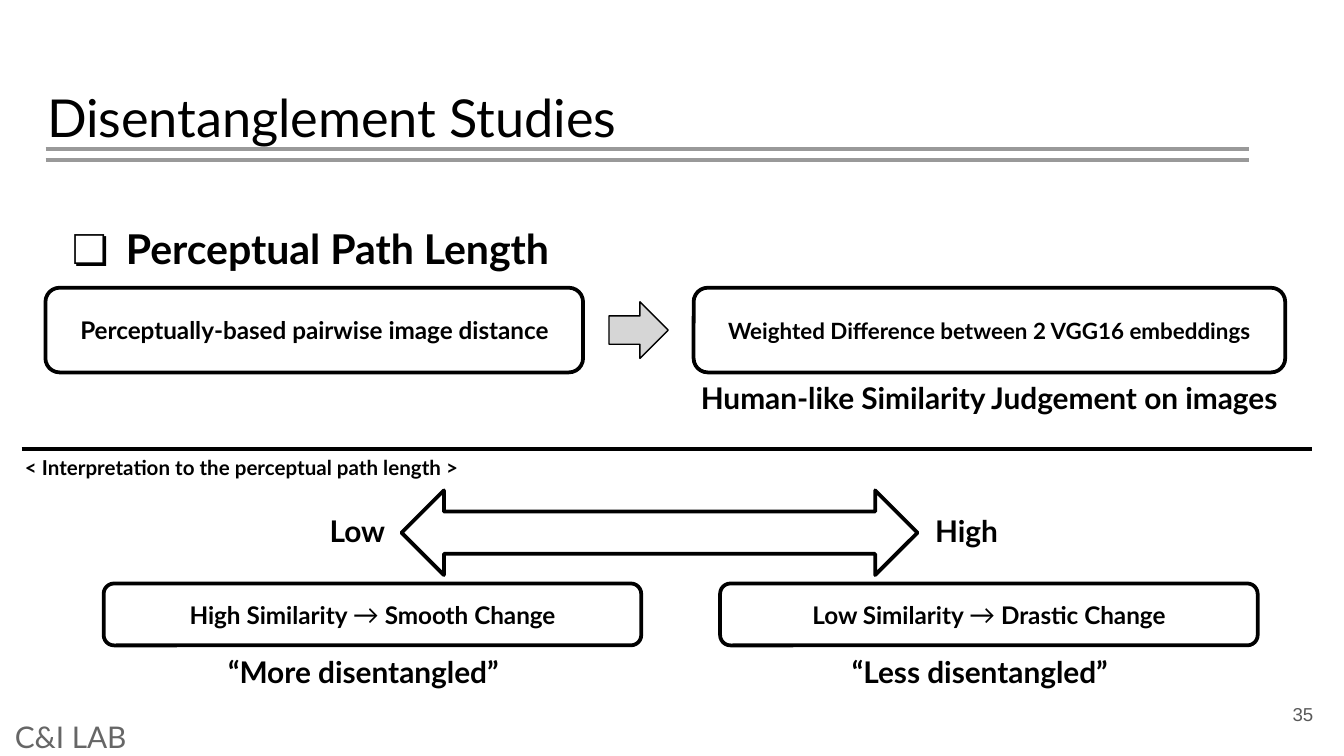
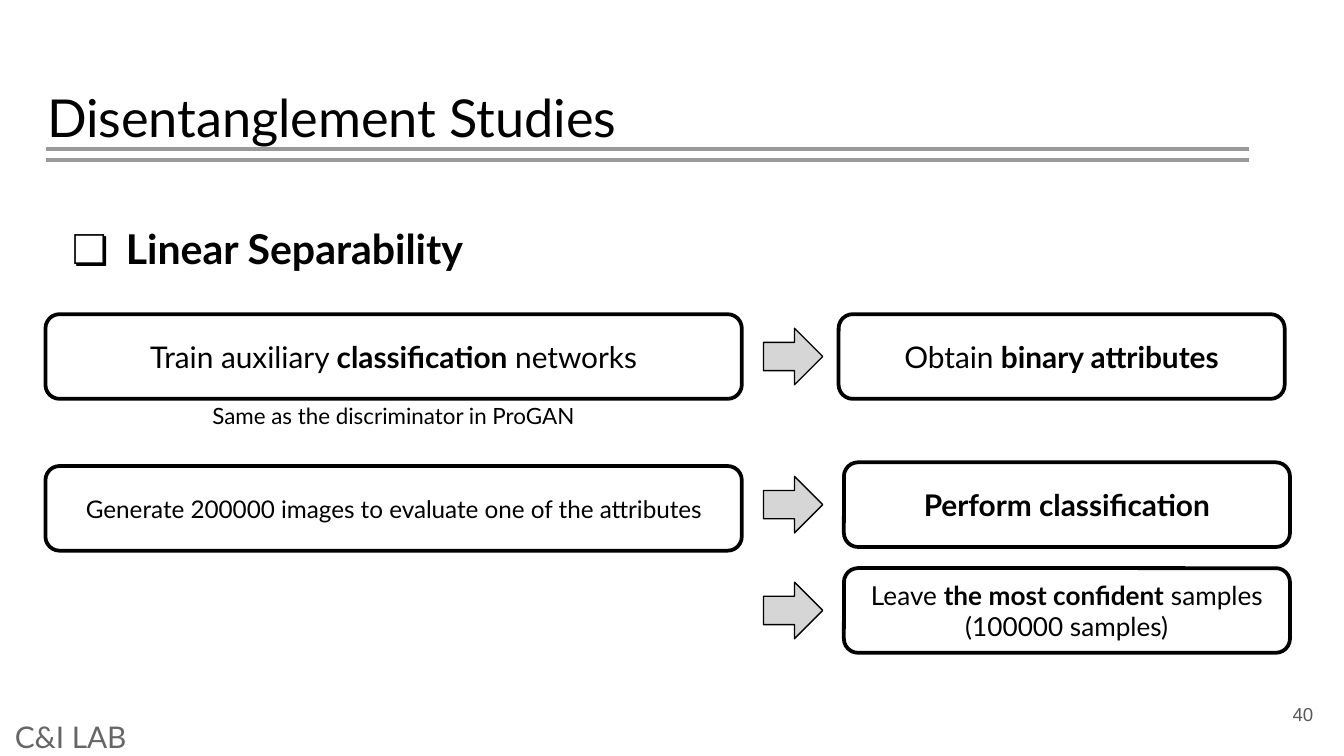
from typing import NamedTuple

from pptx import Presentation
from pptx import util as u
from pptx.dml.color import RGBColor
from pptx.enum import shapes, text
from pptx.oxml import ns, xmlchemy

BLACK = RGBColor(0x00, 0x00, 0x00)
WHITE = RGBColor(0xFF, 0xFF, 0xFF)
RULE_GREY = RGBColor(0x99, 0x99, 0x99)
LAB_GREY = RGBColor(0x66, 0x66, 0x66)
NUMBER_GREY = RGBColor(0x59, 0x59, 0x59)
ARROW_GREY = RGBColor(0xD6, 0xD6, 0xD6)

SLIDE_WIDTH, SLIDE_HEIGHT = 25.4, 14.29
BOX_HEIGHT = 1.6
ARROW_WIDTH, ARROW_HEIGHT = 1.12, 1.07
CAPTION_HEIGHT = 0.94
PADDING = 0.25

REGULAR = {"name": "Lato", "size": u.Pt(16), "bold": False, "color": BLACK}
BOLD = {**REGULAR, "bold": True}
CENTER = text.PP_ALIGN.CENTER


class Box(NamedTuple):
    left: float
    top: float
    width: float
    height: float

    def lengths(self):
        return [u.Cm(value) for value in self]


def sized(style, points):
    return {**style, "size": u.Pt(points)}


def set_font(font, style):
    for attribute, value in style.items():
        if attribute == "color":
            font.color.rgb = value
        else:
            setattr(font, attribute, value)


def write(frame, lines, style, align=CENTER, anchor=text.MSO_ANCHOR.TOP):
    frame.word_wrap = True
    frame.vertical_anchor = anchor
    for index, runs in enumerate(lines):
        paragraph = frame.paragraphs[0] if index == 0 else frame.add_paragraph()
        paragraph.alignment = align
        for words, changes in runs:
            run = paragraph.add_run()
            run.text = words
            set_font(run.font, {**style, **changes})


def add_label(slide, box, words, style, **layout):
    label = slide.shapes.add_textbox(*box.lengths())
    write(label.text_frame, [[(words, {})]], style, **layout)
    return label.text_frame


def add_padded(slide, box, words, style, **layout):
    frame = add_label(slide, box, words, style, **layout)
    for side in ("left", "top", "right", "bottom"):
        setattr(frame, f"margin_{side}", u.Cm(PADDING))
    return frame


def add_caption(slide, box, words, style=BOLD):
    frame = add_label(slide, box, words, style)
    frame.auto_size = text.MSO_AUTO_SIZE.SHAPE_TO_FIT_TEXT


def add_outlined(slide, kind, box, fill=WHITE, weight=2):
    outlined = slide.shapes.add_shape(kind, *box.lengths())
    outlined.shadow.inherit = False
    outlined.fill.solid()
    outlined.fill.fore_color.rgb = fill
    outlined.line.color.rgb = BLACK
    outlined.line.width = u.Pt(weight)
    return outlined


def add_step(slide, box, lines, style=REGULAR):
    step = add_outlined(slide, shapes.MSO_SHAPE.ROUNDED_RECTANGLE, box)
    write(step.text_frame, lines, style, anchor=text.MSO_ANCHOR.MIDDLE)


def add_result(slide, arrow_left, box, lines, style=REGULAR):
    arrow_top = box.top + (box.height - ARROW_HEIGHT) / 2
    arrow = Box(arrow_left, arrow_top, ARROW_WIDTH, ARROW_HEIGHT)
    add_outlined(slide, shapes.MSO_SHAPE.RIGHT_ARROW, arrow, ARROW_GREY, 0.75)
    add_step(slide, box, lines, style)


def add_rule(parent, left, right, top, color):
    rule = parent.shapes.add_connector(
        shapes.MSO_CONNECTOR.STRAIGHT, u.Cm(left), u.Cm(top), u.Cm(right), u.Cm(top)
    )
    rule.line.color.rgb = color
    rule.line.width = u.Pt(2.25)
    rule._element.spPr.append(xmlchemy.OxmlElement("a:effectLst"))


def add_header(slide, box):
    add_padded(slide, box, "Disentanglement Studies", sized(REGULAR, 28),
               align=text.PP_ALIGN.LEFT)
    double_rule = slide.shapes.add_group_shape()
    for drop in (1.45, 1.65):
        add_rule(double_rule, box.left + 0.22, box.left + 22.96, box.top + drop, RULE_GREY)


def add_topic(slide, box, topic):
    frame = add_padded(slide, box, topic, sized(BOLD, 22), align=text.PP_ALIGN.LEFT)
    paragraph = frame.paragraphs[0]
    paragraph.line_spacing = 1.15
    properties = paragraph._p.get_or_add_pPr()
    properties.set("marL", str(u.Cm(1.27)))
    properties.set("indent", str(u.Cm(-1.02)))
    bullet_color = xmlchemy.OxmlElement("a:buClr")
    black = xmlchemy.OxmlElement("a:srgbClr")
    black.set("val", str(BLACK))
    bullet_color.append(black)
    bullet_font = xmlchemy.OxmlElement("a:buFont")
    bullet_font.set("typeface", "Lato")
    bullet = xmlchemy.OxmlElement("a:buChar")
    bullet.set("char", "❏")
    for element in (bullet_color, bullet_font, bullet):
        properties.append(element)


def add_footer(slide, box, number):
    number_style = {**sized(REGULAR, 10), "name": "Arial", "color": NUMBER_GREY}
    add_padded(slide, Box(box.left + 23.52, box.top - 0.61, 1.52, 1.09), number,
               number_style, align=text.PP_ALIGN.RIGHT, anchor=text.MSO_ANCHOR.MIDDLE)
    add_padded(slide, box, "C&I LAB", {**REGULAR, "color": LAB_GREY},
               align=text.PP_ALIGN.LEFT, anchor=text.MSO_ANCHOR.MIDDLE)


def add_study(deck, topic, number):
    slide = deck.slides.add_slide(deck.slide_layouts[6])
    add_topic(slide, Box(0.86, 3.84, 23.67, 1.6), topic)
    add_header(slide, Box(0.64, 1.37, 23.67, 1.6))
    add_footer(slide, Box(0.03, 13.56, SLIDE_WIDTH, 0.71), number)
    return slide


def add_definition(slide, box):
    left, top, width, _ = box
    add_step(slide, Box(left, top, 10.16, BOX_HEIGHT),
             [[("Perceptually-based pairwise image distance", {})]], sized(BOLD, 13))
    embeddings = Box(left + width - 11.18, top, 11.18, BOX_HEIGHT)
    add_result(slide, left + 10.65, embeddings,
               [[("Weighted Difference between 2 VGG16 embeddings", {})]], sized(BOLD, 12))
    add_caption(slide, Box(embeddings.left - 0.86, top + 1.62, 12.9, CAPTION_HEIGHT),
                "Human-like Similarity Judgement on images")


def add_interpretation(slide, box):
    left, top, width, _ = box
    add_rule(slide, left, left + width, top, BLACK)
    add_caption(slide, Box(left - 0.54, top, 9.4, 0.74),
                "< Interpretation to the perceptual path length >", sized(BOLD, 11))
    add_outlined(slide, shapes.MSO_SHAPE.LEFT_RIGHT_ARROW,
                 Box(left + 7.18, top + 0.79, 9.75, BOX_HEIGHT))
    ends = [
        ("Low", 5.53, 1.63, 1.55, "High", "Smooth", "“More disentangled”"),
        ("High", 16.91, 1.9, 13.2, "Low", "Drastic", "“Less disentangled”"),
    ]
    for end, end_left, end_width, step_left, similarity, change, verdict in ends:
        add_caption(slide, Box(left + end_left, top + 1.08, end_width, CAPTION_HEIGHT), end)
        step = Box(left + step_left, top + 2.55, 10.16, 1.17)
        runs = [
            (f"{similarity} Similarity ", {}),
            ("→", {"size": u.Pt(14), "bold": False}),
            (f" {change} Change", {}),
        ]
        add_step(slide, step, [runs], sized(BOLD, 13))
        add_caption(slide, Box(step.left + 2.05, top + 3.76, 5.72, CAPTION_HEIGHT), verdict)


def add_training(slide, box):
    left, top, width, _ = box
    strong = {"bold": True}
    add_step(slide, Box(left, top, 13.16, BOX_HEIGHT),
             [[("Train auxiliary ", {}), ("classification", strong), (" networks", {})]])
    add_result(slide, left + 13.57, Box(left + width - 8.43, top, 8.43, BOX_HEIGHT),
               [[("Obtain", {}), (" binary attributes", strong)]])
    add_caption(slide, Box(left + 0.13, top + 1.53, 12.9, 0.76),
                "Same as the discriminator in ProGAN", sized(REGULAR, 12))


def add_evaluation(slide, box):
    left, top, width, height = box
    add_step(slide, Box(left, top + 0.07, 13.16, BOX_HEIGHT),
             [[("Generate 200000 images to evaluate one of the attributes", {})]],
             sized(REGULAR, 13))
    confident = [
        [("Leave ", {}), ("the most confident", {"bold": True}), (" samples", {})],
        [("(100000 samples)", {})],
    ]
    results = [
        (top, [[("Perform classification", {})]], BOLD),
        (top + height - BOX_HEIGHT, confident, sized(REGULAR, 14)),
    ]
    for result_top, lines, style in results:
        result = Box(left + width - 8.43, result_top, 8.43, BOX_HEIGHT)
        add_result(slide, left + 13.57, result, lines, style)


def main():
    deck = Presentation()
    deck.slide_width, deck.slide_height = u.Cm(SLIDE_WIDTH), u.Cm(SLIDE_HEIGHT)

    path_length = add_study(deck, "Perceptual Path Length", "35")
    add_definition(path_length, Box(0.86, 5.44, 23.43, 2.56))
    add_interpretation(path_length, Box(0.41, 8.48, 24.38, 4.7))

    separability = add_study(deck, "Linear Separability", "40")
    add_training(separability, Box(0.86, 5.94, 23.42, 2.29))
    add_evaluation(separability, Box(0.86, 8.74, 23.52, 3.6))

    deck.save("out.pptx")


if __name__ == "__main__":
    main()
